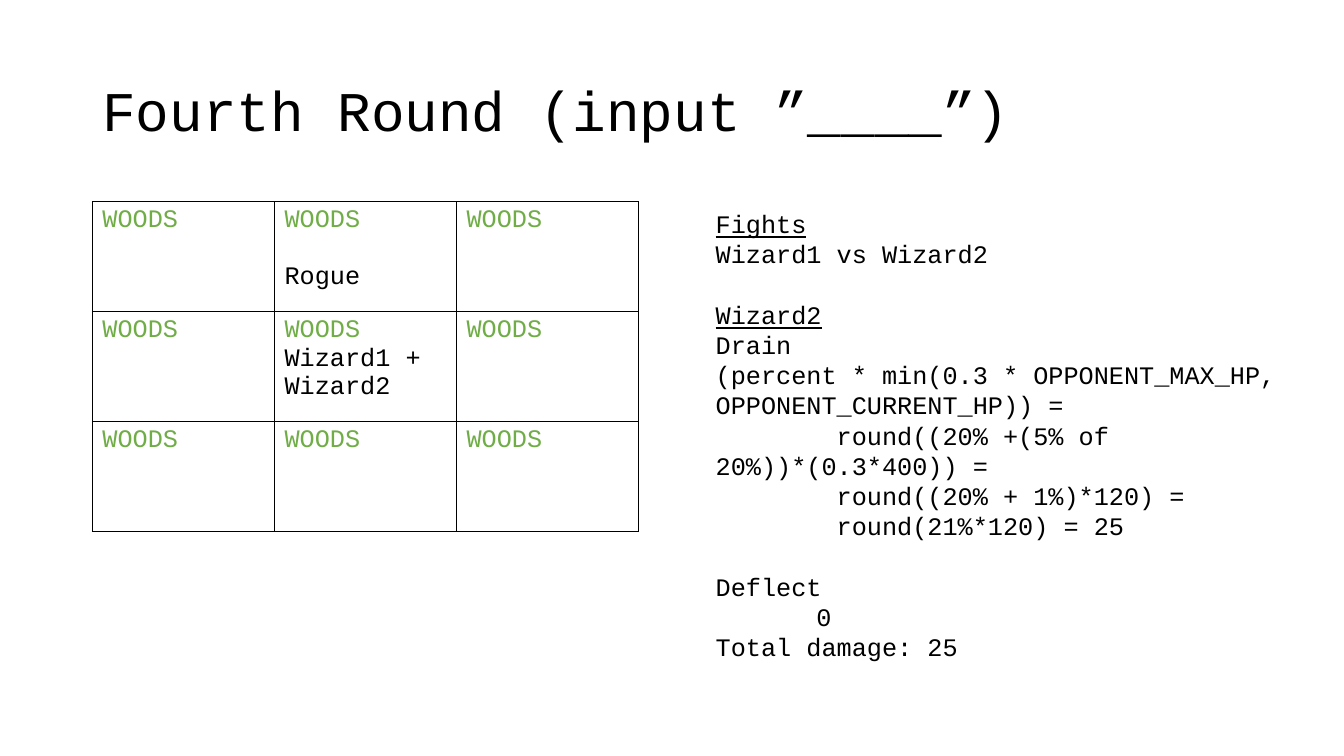
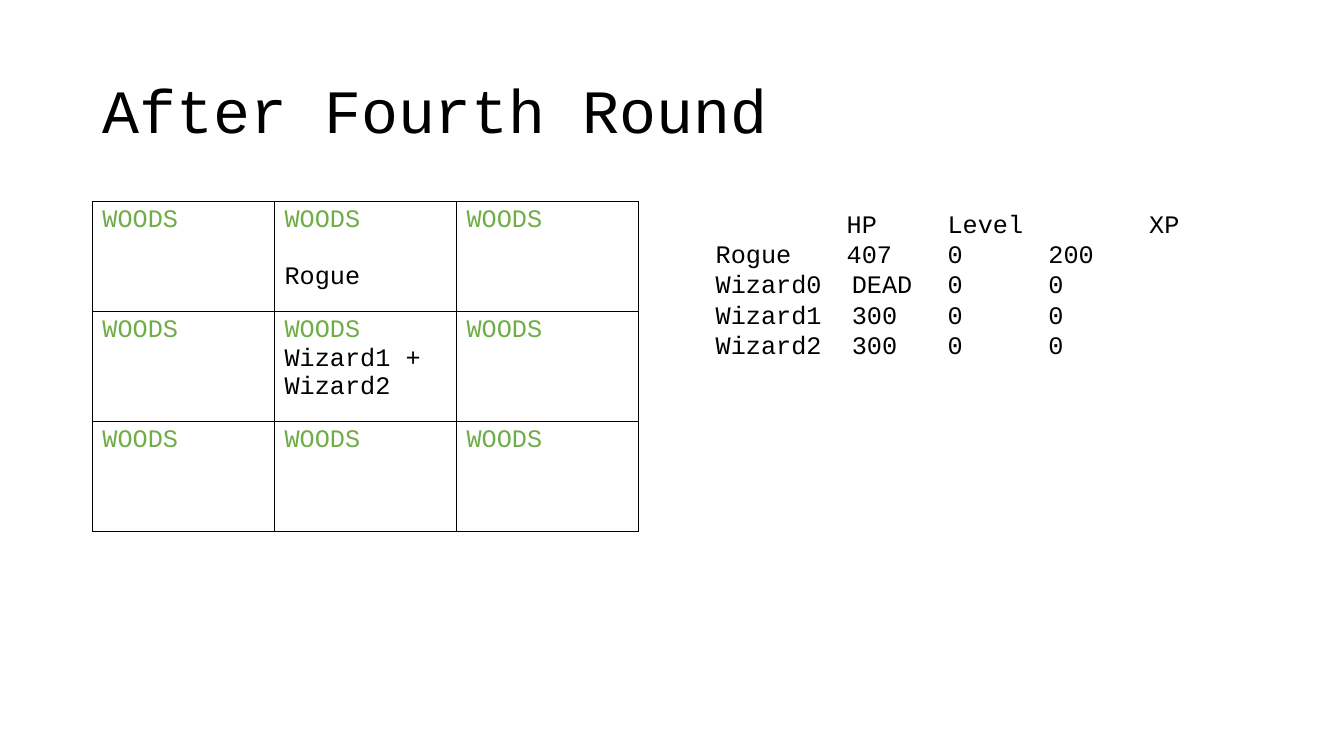
from dataclasses import dataclass

from lxml import etree
from pptx import Presentation
from pptx import util as u
from pptx.dml.color import RGBColor
from pptx.enum import text as t
from pptx.oxml import ns


@dataclass(frozen=True)
class Theme:
    """Colours, type and rules shared by the slides."""
    ink: str = "000000"
    woods: str = "70AD47"
    paper: str = "FFFFFF"
    face: str = "Courier New"
    body: float = 18
    line: float = 21.6
    cell_gap: float = 20.4
    rule: float = 1


THEME = Theme()
UNIT = u.Inches(1) / 12
TITLE = (11, 4.8, 138, 17.4)
MAP = (11, 24, 65, 39.25)
FIGHT = (84, 24.2, 72, 59.2)
SCORE = (84, 24.2, 69.4, 19.2)

GRID = [
    [[], [("Rogue", THEME.cell_gap)], []],
    [[], [("Wizard1 + Wizard2", 0)], []],
    [[], [], []],
]

HEAD = {"under": True}
GAP = {"space_before": u.Pt(THEME.line)}
STEP = {"indent": 1.2}
FIGHTS = [
    ("Fights", HEAD),
    ("Wizard1 vs Wizard2", {}),
    ("Wizard2", HEAD | GAP),
    ("Drain", {}),
    ("(percent * min(0.3 * OPPONENT_MAX_HP, OPPONENT_CURRENT_HP)) =", {}),
    ("round((20% +(5% of 20%))*(0.3*400)) =", STEP),
    ("round((20% + 1%)*120) =", STEP),
    ("round(21%*120) = 25", STEP),
    ("Deflect", GAP),
    ("0", {"indent": 1}),
    ("Total damage: 25", {}),
]

WIZARD = {"tabs": (1.35, 2.3, 3.3)}
SCORES = [
    ("\tHP\tLevel\tXP", {"tabs": (1.3, 2.3, 4.3)}),
    ("Rogue\t407\t0\t200", {"tabs": (1.3, 2.3, 3.3)}),
    ("Wizard0\tDEAD\t0\t0", WIZARD),
    ("Wizard1\t300\t0\t0", WIZARD),
    ("Wizard2\t300\t0\t0", WIZARD),
]


def place(box):
    """Turn grid columns and rows into lengths."""
    return [u.Emu(round(n * UNIT)) for n in box]


def apply(item, form):
    """Set each attribute named in a dict."""
    for key, value in form.items():
        setattr(item, key, value)


def write(para, words, color=THEME.ink, size=THEME.body, under=False,
          indent=0, tabs=(), **form):
    """Fill one paragraph with a single styled run."""
    props = para._p.get_or_add_pPr()
    if indent:
        props.set("marL", "0")
        props.set("indent", str(u.Inches(indent)))
    if tabs:
        stops = etree.SubElement(props, ns.qn("a:tabLst"))
        for stop in tabs:
            etree.SubElement(stops, ns.qn("a:tab"), pos=str(u.Inches(stop)), algn="l")
    apply(para, form)
    run = para.add_run()
    run.text = words
    apply(run.font, {"name": THEME.face, "size": u.Pt(size), "underline": under})
    run.font.color.rgb = RGBColor.from_string(color)


def add_para(frame, first):
    """Give the first paragraph or add one."""
    return frame.paragraphs[0] if first else frame.add_paragraph()


def add_title(slide, box, words, size):
    """Place the slide title, centred on its band's height."""
    frame = slide.shapes.add_textbox(*place(box)).text_frame
    apply(frame, {"word_wrap": True, "vertical_anchor": t.MSO_ANCHOR.MIDDLE})
    write(frame.paragraphs[0], words, size=size, line_spacing=0.9)


def add_notes(slide, box, lines):
    """Place the text beside the map."""
    frame = slide.shapes.add_textbox(*place(box)).text_frame
    apply(frame, {"word_wrap": True, "vertical_anchor": t.MSO_ANCHOR.TOP})
    for i, (words, form) in enumerate(lines):
        write(add_para(frame, i == 0), words, line_spacing=u.Pt(THEME.line), **form)


def add_edges(cell):
    """Rule all four sides of a cell."""
    props = cell._tc.get_or_add_tcPr()
    for i, side in enumerate(("lnL", "lnR", "lnT", "lnB")):
        edge = etree.Element(ns.qn(f"a:{side}"), w=str(u.Pt(THEME.rule)))
        fill = etree.SubElement(edge, ns.qn("a:solidFill"))
        etree.SubElement(fill, ns.qn("a:srgbClr"), val=THEME.ink)
        props.insert(i, edge)


def add_map(slide, box, grid):
    """Place the map of woods with its players."""
    rows, cols = len(grid), len(grid[0])
    table = slide.shapes.add_table(rows, cols, *place(box)).table
    apply(table, {"first_row": False, "horz_banding": False})
    for r, row in enumerate(grid):
        for c, players in enumerate(row):
            cell = table.cell(r, c)
            cell.fill.solid()
            cell.fill.fore_color.rgb = RGBColor.from_string(THEME.paper)
            add_edges(cell)
            write(cell.text_frame.paragraphs[0], "WOODS", THEME.woods)
            for name, gap in players:
                write(cell.text_frame.add_paragraph(), name, space_before=u.Pt(gap))


def add_round(deck, title, size, box, lines):
    """Build one slide: title, map and text."""
    slide = deck.slides.add_slide(deck.slide_layouts[6])
    add_title(slide, TITLE, title, size)
    add_notes(slide, box, lines)
    add_map(slide, MAP, GRID)


def main():
    """Build and save the deck."""
    deck = Presentation()
    apply(deck, {"slide_width": u.Inches(13.33), "slide_height": u.Inches(7.5)})
    add_round(deck, "Fourth Round (input ”____”)", 40, FIGHT, FIGHTS)
    add_round(deck, "After Fourth Round", 44, SCORE, SCORES)
    deck.save("out.pptx")


if __name__ == "__main__":
    main()
